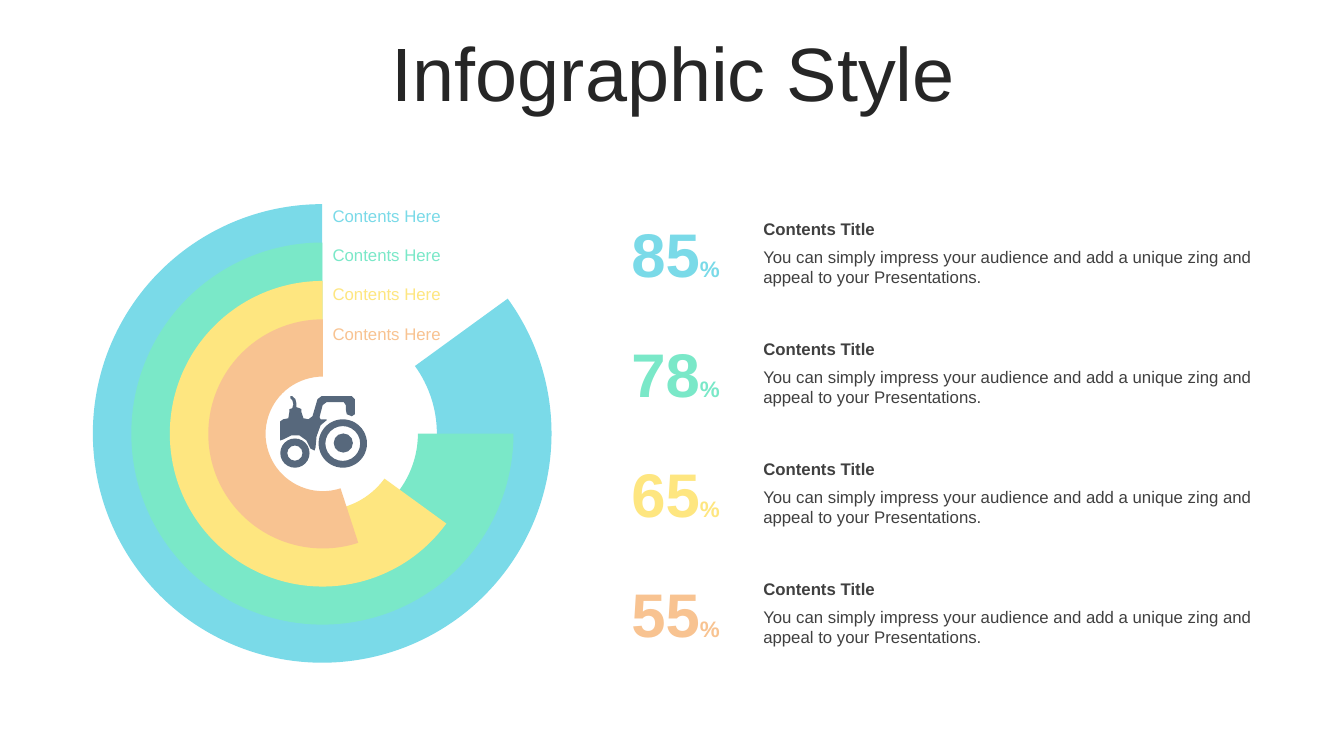
import pptx
import pptx.chart.data
import pptx.dml.color
import pptx.enum.chart
import pptx.enum.shapes
import pptx.enum.text
import pptx.oxml
import pptx.util

Inches, Pt = pptx.util.Inches, pptx.util.Pt
SHAPE = pptx.enum.shapes.MSO_SHAPE
ALIGN = pptx.enum.text.PP_ALIGN

TITLE = "Infographic Style"
LABEL = "Contents Here"
HEADING = "Contents Title"
BODY = ("You can simply impress your audience and add a unique zing "
        "and appeal to your Presentations.")
# percent, colour, hole size
RINGS = [
    (85, "7ADAE8", 87),
    (78, "7AE8C8", 84),
    (65, "FEE680", 81),
    (55, "F8C391", 73),
]
# share of each ring that is drawn, outermost first
DRAWN = [85, 75, 65, 55]
DARK, GREY, SLATE = "262626", "404040", "57687C"

CENTRE_X, CENTRE_Y = 3.21, 4.31
OUTER, RING_STEP = 4.72, 0.787
ROW_PITCH, LABEL_PITCH = 1.19, 0.39
PLOT = {"x": 0.015, "y": 0.011, "w": 0.964, "h": 0.974}

TRACTOR_BODY = [
    (3.18, 4.22), (3.24, 4.17), (3.24, 4.16), (3.18, 4.16), (3.17, 4.14),
    (3.2, 4.02), (3.24, 3.99), (3.41, 3.99), (3.43, 4.02), (3.43, 4.06),
    (3.44, 4.11), (3.49, 4.13), (3.52, 4.11), (3.52, 3.96), (3.49, 3.93),
    (3.19, 3.93), (3.15, 3.96), (3.1, 4.13), (3.06, 4.16), (3.01, 4.15),
    (2.99, 4.09), (2.99, 4.06), (2.97, 4.05), (2.94, 4.04), (2.94, 4),
    (2.93, 3.96), (2.9, 3.93), (2.88, 3.93), (2.88, 3.95), (2.9, 3.97),
    (2.91, 4.01), (2.9, 4.05), (2.87, 4.06), (2.87, 4.09), (2.86, 4.15),
    (2.81, 4.16), (2.78, 4.18), (2.78, 4.37), (2.81, 4.36), (2.89, 4.32),
    (2.97, 4.32), (3.04, 4.37), (3.08, 4.45), (3.12, 4.47), (3.13, 4.44),
    (3.14, 4.33),
]
# shape, left, top, size, rim thickness as a share of the size
WHEELS = [
    (SHAPE.DONUT, 3.16, 4.16, 0.48, 0.14),
    (SHAPE.DONUT, 2.78, 4.35, 0.29, 0.24),
    (SHAPE.OVAL, 3.31, 4.3, 0.19, None),
]


def rgb(color):
    return pptx.dml.color.RGBColor.from_string(color)


def box(x, y, w, h, runs, color, bold=False, align=ALIGN.LEFT, inset=0.1):
    """Add a one-paragraph text box; runs are (text, size) pairs."""
    tf = s.shapes.add_textbox(Inches(x), Inches(y), Inches(w), Inches(h)).text_frame
    tf.word_wrap = True
    tf.auto_size = pptx.enum.text.MSO_AUTO_SIZE.SHAPE_TO_FIT_TEXT
    tf.margin_left = tf.margin_right = Inches(inset)
    p = tf.paragraphs[0]
    p.alignment = align
    for text, size in runs:
        r = p.add_run()
        r.text = text
        r.font.name, r.font.size, r.font.bold = "Arial", Pt(size), bold
        r.font.color.rgb = rgb(color)
    return tf


def ring(size, value, color, hole):
    """Add a doughnut whose first slice is left empty."""
    data = pptx.chart.data.CategoryChartData()
    data.categories = ["1", "2"]
    data.add_series("Series 1", (100 - value, value))
    chart = s.shapes.add_chart(
        pptx.enum.chart.XL_CHART_TYPE.DOUGHNUT,
        Inches(CENTRE_X - size / 2), Inches(CENTRE_Y - size / 2),
        Inches(size), Inches(size), data).chart
    chart.has_legend = chart.has_title = False
    chart.font.name, chart.font.size = "Arial", Pt(18)
    chart.font.color.rgb = rgb("000000")
    plot = chart.plots[0]
    plot.vary_by_categories = False
    gap, arc = (plot.series[0].points[i].format for i in range(2))
    gap.fill.background()
    arc.fill.solid()
    arc.fill.fore_color.rgb = rgb(color)
    for part in (gap, arc):
        part.line.fill.background()

    area = chart.element.xpath(".//c:plotArea")[0]
    area.xpath(".//c:holeSize")[0].set("val", str(hole))
    for layout in area.xpath("./c:layout"):
        area.remove(layout)
    modes = '<c:xMode val="edge"/><c:yMode val="edge"/>'
    places = "".join(f'<c:{k} val="{v}"/>' for k, v in PLOT.items())
    area.insert(0, pptx.oxml.parse_xml(
        '<c:layout xmlns:c="http://schemas.openxmlformats.org/drawingml/2006/chart">'
        f'<c:manualLayout><c:layoutTarget val="inner"/>{modes}{places}'
        '</c:manualLayout></c:layout>'))


def paint(sp):
    sp.shadow.inherit = False
    sp.fill.solid()
    sp.fill.fore_color.rgb = rgb(SLATE)
    sp.line.fill.background()


prs = pptx.Presentation()
prs.slide_width, prs.slide_height = Inches(13.33), Inches(7.5)
s = prs.slides.add_slide(prs.slide_layouts[6])

tf = box(0.35, 0.37, 12.66, 0.79, [(TITLE, 54)], DARK, align=ALIGN.CENTER)
tf.auto_size = pptx.enum.text.MSO_AUTO_SIZE.NONE
tf.vertical_anchor = pptx.enum.text.MSO_ANCHOR.MIDDLE
tf.paragraphs[0].line_spacing = 0.9

for i, (percent, color, hole) in enumerate(RINGS):
    ring(OUTER - i * RING_STEP, DRAWN[i], color, hole)

for i, (percent, color, hole) in enumerate(RINGS):
    dy = i * ROW_PITCH
    box(6.02, 2.09 + dy, 1.36, 0.84, [(str(percent), 44), ("%", 16)], color,
        bold=True, align=ALIGN.CENTER)
    box(7.45, 2.4 + dy, 5.11, 0.5, [(BODY, 12)], GREY, inset=0.12)
    box(7.45, 2.12 + dy, 5.11, 0.3, [(HEADING, 12)], GREY, bold=True, inset=0.12)
    box(3.2, 1.99 + i * LABEL_PITCH, 1.43, 0.3, [(LABEL, 12)], color)

points = [(Inches(x), Inches(y)) for x, y in TRACTOR_BODY]
outline = s.shapes.build_freeform(*points[0])
outline.add_line_segments(points[1:])
paint(outline.convert_to_shape())
for shape, x, y, size, rim in WHEELS:
    sp = s.shapes.add_shape(shape, Inches(x), Inches(y), Inches(size), Inches(size))
    if rim:
        sp.adjustments[0] = rim
    paint(sp)

prs.save("out.pptx")
